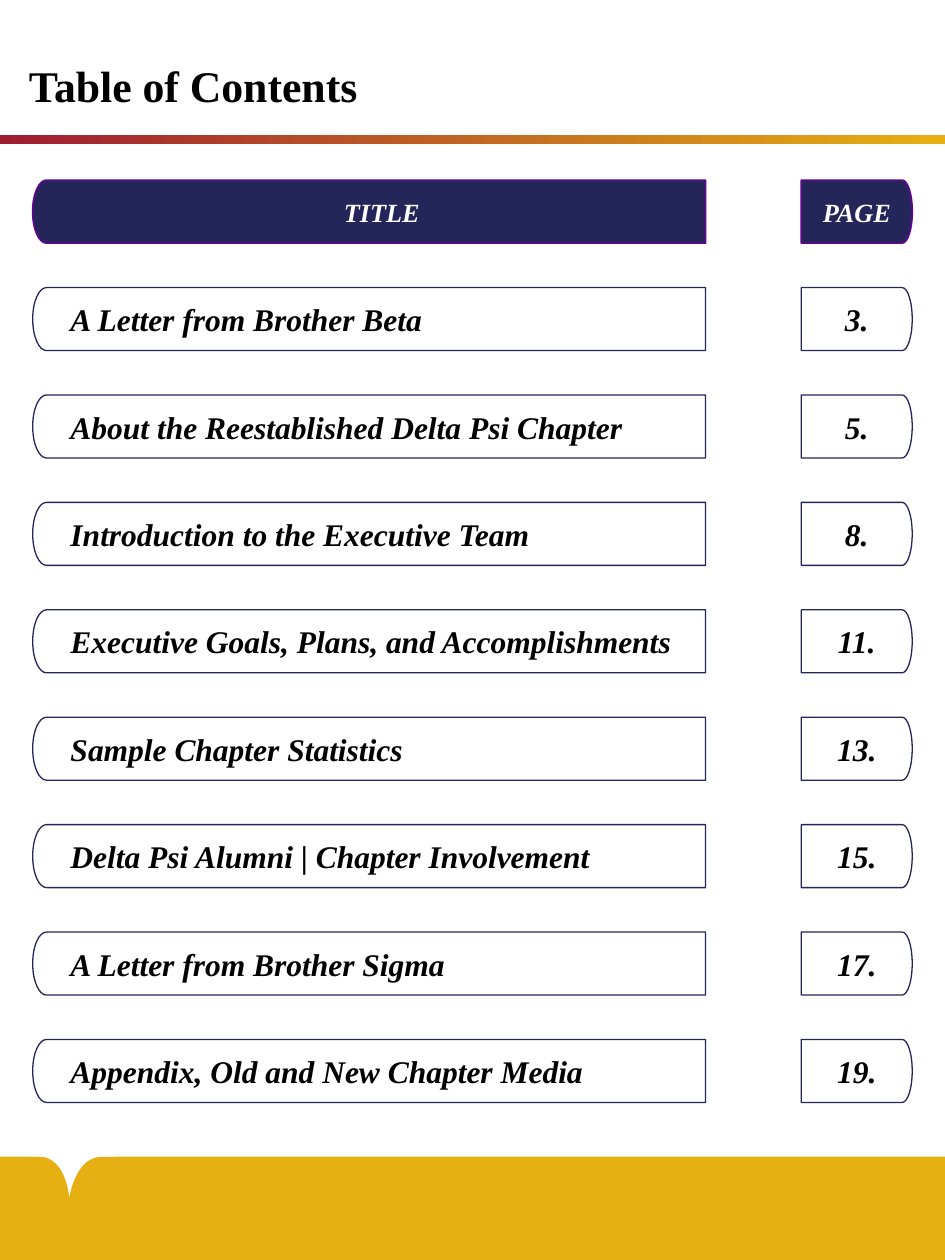
from lxml.etree import SubElement
from pptx import Presentation
from pptx.dml.color import RGBColor
from pptx.enum.shapes import MSO_SHAPE
from pptx.enum.text import MSO_ANCHOR, PP_ALIGN
from pptx.oxml.ns import qn
from pptx.util import Inches, Pt

FONT = "Times New Roman"
NAVY, GOLD, WHITE, BLACK = "242659", "E6B012", "FFFFFF", "000000"
TOP, LAST, HEIGHT = 1.43, 8.25, 0.5
ROWS = [
    ("TITLE", "PAGE"),
    ("A Letter from Brother Beta", "3."),
    ("About the Reestablished Delta Psi Chapter", "5."),
    ("Introduction to the Executive Team", "8."),
    ("Executive Goals, Plans, and Accomplishments", "11."),
    ("Sample Chapter Statistics", "13."),
    ("Delta Psi Alumni | Chapter Involvement", "15."),
    ("A Letter from Brother Sigma", "17."),
    ("Appendix, Old and New Chapter Media", "19."),
]


def color(code):
    return RGBColor.from_string(code)


def paint(shape, fill, line=None, width=0.75):
    shape.shadow.inherit = False
    if fill:
        shape.fill.solid()
        shape.fill.fore_color.rgb = color(fill)
    else:
        shape.fill.background()
    if line:
        shape.line.color.rgb = color(line)
        shape.line.width = Pt(width)
    else:
        shape.line.fill.background()


def write(shape, text, size, code, align, left=0.1, right=0.1, italic=True):
    frame = shape.text_frame
    frame.text = text
    frame.word_wrap = True
    frame.vertical_anchor = MSO_ANCHOR.MIDDLE
    frame.margin_left, frame.margin_right = Inches(left), Inches(right)
    frame.margin_top = frame.margin_bottom = Inches(0.05)
    line = frame.paragraphs[0]
    line.alignment = align
    font = line.runs[0].font
    font.name, font.size = FONT, Pt(size)
    font.bold, font.italic = True, italic
    font.color.rgb = color(code)


def bend(shape, edge, points):
    arc = edge.makeelement(qn("a:cubicBezTo"))
    for x, y in points:
        dot = SubElement(arc, qn("a:pt"))
        dot.set("x", str(Inches(x) - shape.left))
        dot.set("y", str(Inches(y) - shape.top))
    edge.getparent().replace(edge, arc)


def outline(slide, start, parts):
    ends = [(Inches(x), Inches(y)) for x, y in [start] + [part[-1] for part in parts]]
    builder = slide.shapes.build_freeform(*ends[0], scale=1.0)
    builder.add_line_segments(ends[1:], close=True)
    shape = builder.convert_to_shape()
    edges = list(shape.element.iter(qn("a:lnTo")))
    for edge, part in zip(edges, parts):
        if len(part) == 3:
            bend(shape, edge, part)
    return shape


def bar(slide, flat, turn, tip, top, head):
    end, mid, pull = top + HEIGHT, top + HEIGHT / 2, turn + (tip - turn) * 0.55
    shape = outline(slide, (flat, top), [
        [(turn, top)],
        [(pull, top), (tip, top + 0.11), (tip, mid)],
        [(tip, end - 0.11), (pull, end), (turn, end)],
        [(flat, end)],
    ])
    if head:
        paint(shape, NAVY, "5F078C", 1)
    else:
        paint(shape, None, NAVY)
    return shape


def band(slide, top, height):
    shape = slide.shapes.add_shape(
        MSO_SHAPE.RECTANGLE, 0, Inches(top), Inches(7.5), Inches(height))
    paint(shape, GOLD)
    return shape


def frame(slide):
    band(slide, 9.18, 0.82)
    notch = outline(slide, (0.93, 8.96), [
        [(0, 8.96)],
        [(0, 9.03), (0, 9.1), (0, 9.17)],
        [(0.33, 9.18)],
        [(0.45, 9.19), (0.53, 9.32), (0.55, 9.5)],
        [(0.61, 9.22), (0.73, 9.18), (0.82, 9.18)],
        [(0.93, 9.18)],
    ])
    paint(notch, WHITE)
    fill = band(slide, 1.07, 0.07).fill
    fill.gradient()
    fill.gradient_angle = 0
    for stop, code, place in zip(fill.gradient_stops, ("9E1C32", GOLD), (0, 1)):
        stop.color.rgb = color(code)
        stop.position = place


def title(slide, text):
    box = slide.shapes.add_textbox(Inches(0.23), Inches(0.4), Inches(6), Inches(0.6))
    write(box, text, 25, BLACK, PP_ALIGN.LEFT, 0, 0, False)
    box.text_frame.paragraphs[0].line_spacing = 0.9


def row(slide, index, name, page):
    head = index == 0
    top = TOP + index * (LAST - TOP) / (len(ROWS) - 1)
    size, code = (15, WHITE) if head else (18, BLACK)
    align = PP_ALIGN.CENTER if head else PP_ALIGN.LEFT
    write(bar(slide, 5.6, 0.37, 0.26, top, head), name, size, code, align, 0.3)
    write(bar(slide, 6.36, 7.16, 7.24, top, head), page, size, code, PP_ALIGN.CENTER)


def main():
    deck = Presentation()
    deck.slide_width, deck.slide_height = Inches(7.5), Inches(10)
    slide = deck.slides.add_slide(deck.slide_layouts[6])
    frame(slide)
    title(slide, "Table of Contents")
    for index, (name, page) in enumerate(ROWS):
        row(slide, index, name, page)
    deck.save("out.pptx")


if __name__ == "__main__":
    main()
